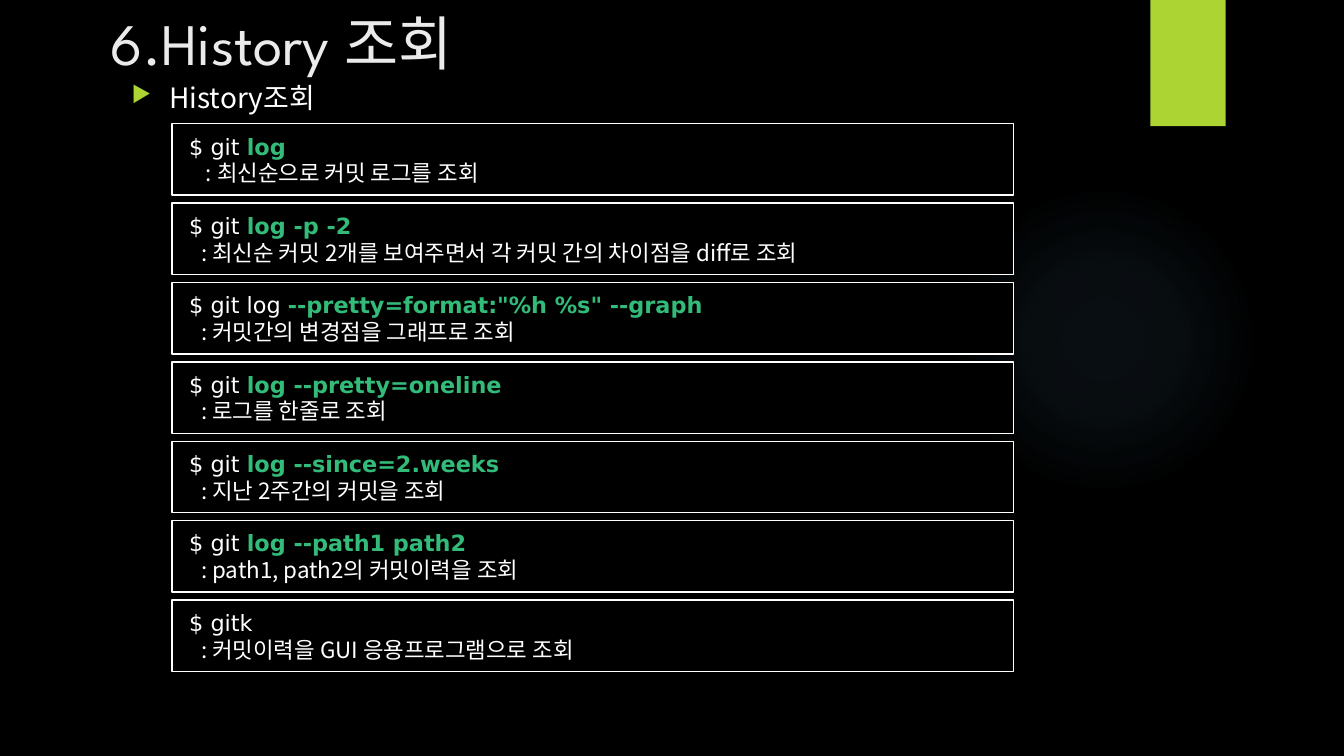
from lxml import etree
from pptx import Presentation
from pptx.dml.color import RGBColor
from pptx.enum.shapes import MSO_SHAPE
from pptx.enum.text import MSO_ANCHOR, MSO_AUTO_SIZE, PP_ALIGN
from pptx.oxml import parse_xml
from pptx.oxml.ns import nsdecls, qn
from pptx.util import Cm, Pt

# Content
TITLE = "6.History 조회"
HEADING = "History조회"
COMMANDS = [  # plain part, highlighted part, description
    ("$ git ", "log", ": 최신순으로 커밋 로그를 조회"),
    ("$ git ", "log -p -2", ": 최신순 커밋 2개를 보여주면서 각 커밋 간의 차이점을 diff로 조회"),
    ("$ git log ", '--pretty=format:"%h %s" --graph', ": 커밋간의 변경점을 그래프로 조회"),
    ("$ git ", "log --pretty=oneline", ": 로그를 한줄로 조회"),
    ("$ git ", "log --since=2.weeks", ": 지난 2주간의 커밋을 조회"),
    ("$ git ", "log --path1 path2", ": path1, path2의 커밋이력을 조회"),
    ("$ gitk", "", ": 커밋이력을 GUI 응용프로그램으로 조회"),
]

# Style
COLORS = {"back": "000000", "text": "FFFFFF", "title": "EBEBEB",
          "accent": "ACD433", "command": "32BB79", "glow": "7AC4F0"}
TITLE_FONT, CODE_FONT, KOREAN_FONT = "League Spartan", "DejaVu Sans", "Noto Sans CJK KR"
GLOW_STOPS = [(0, 7), (36, 6), (69, 0)]  # position %, opacity %

# Command boxes, in cm
BOX_LEFT, BOX_TOP, BOX_WIDTH, BOX_HEIGHT, BOX_PITCH = 4.34, 3.12, 21.21, 1.8, 2


def rgb(name):
    return RGBColor.from_string(COLORS[name])


def style(r, size, font, color, bold=False):
    r.font.size, r.font.name, r.font.bold = Pt(size), font, bold
    r.font.color.rgb = rgb(color)
    ea = etree.SubElement(r.font._element, qn("a:ea"))
    ea.set("typeface", KOREAN_FONT)


def add_run(p, text, *look):
    r = p.add_run()
    r.text = text
    style(r, *look)


def indent(p, left, first=0):
    pPr = p._p.get_or_add_pPr()
    pPr.set("marL", str(Cm(left)))
    pPr.set("indent", str(Cm(first)))
    return pPr


def add_plain(s, kind, *box):
    sp = s.shapes.add_shape(kind, *map(Cm, box))
    sp.shadow.inherit = False
    sp.line.fill.background()
    return sp


def add_glow(s):
    sp = add_plain(s, MSO_SHAPE.OVAL, 23.9, 4.65, 7.82, 7.82)
    sp.fill.gradient()
    stops = "".join(
        f'<a:gs pos="{pos * 1000}"><a:srgbClr val="{COLORS["glow"]}">'
        f'<a:alpha val="{alpha * 1000}"/></a:srgbClr></a:gs>'
        for pos, alpha in GLOW_STOPS)
    grad = parse_xml(
        f'<a:gradFill {nsdecls("a")} rotWithShape="1"><a:gsLst>{stops}</a:gsLst>'
        '<a:path path="circle"><a:fillToRect l="50000" t="50000" r="50000" b="50000"/>'
        '</a:path></a:gradFill>')
    spPr = sp._element.spPr
    spPr.replace(spPr.find(qn("a:gradFill")), grad)


def add_command(s, top, plain, command, description, description_indent):
    sp = add_plain(s, MSO_SHAPE.RECTANGLE, BOX_LEFT, top, BOX_WIDTH, BOX_HEIGHT)
    sp.fill.solid()
    sp.fill.fore_color.rgb = rgb("back")
    sp.line.color.rgb = rgb("text")
    sp.line.width = Pt(1)
    tf = sp.text_frame
    tf.vertical_anchor = MSO_ANCHOR.MIDDLE
    p = tf.paragraphs[0]
    p.alignment = PP_ALIGN.LEFT
    indent(p, 0.18)
    add_run(p, plain, 16, CODE_FONT, "text")
    if command:
        add_run(p, command, 16, CODE_FONT, "command", True)
    p = tf.add_paragraph()
    p.alignment = PP_ALIGN.LEFT
    indent(p, description_indent)
    add_run(p, description, 16, KOREAN_FONT, "text")


def main():
    prs = Presentation()
    prs.slide_width, prs.slide_height = Cm(33.87), Cm(19.05)
    s = prs.slides.add_slide(prs.slide_layouts[5])
    s.background.fill.solid()
    s.background.fill.fore_color.rgb = rgb("back")

    # Decoration
    add_glow(s)
    tab = add_plain(s, MSO_SHAPE.RECTANGLE, 28.99, 0, 1.9, 3.18)
    tab.fill.solid()
    tab.fill.fore_color.rgb = rgb("accent")

    # Title
    title = s.shapes.title
    title.left, title.top, title.width, title.height = map(Cm, (2.54, 0.05, 25.37, 1.83))
    tf = title.text_frame
    tf.text = TITLE
    tf.vertical_anchor = MSO_ANCHOR.TOP
    tf.auto_size = MSO_AUTO_SIZE.NONE
    tf.paragraphs[0].alignment = PP_ALIGN.LEFT
    style(tf.paragraphs[0].runs[0], 42, TITLE_FONT, "title")

    # Bulleted heading
    tf = s.shapes.add_textbox(*map(Cm, (3.07, 1.9, 24.84, 1.2))).text_frame
    tf.word_wrap = True
    tf.text = HEADING
    p = tf.paragraphs[0]
    style(p.runs[0], 20, KOREAN_FONT, "text")
    pPr = indent(p, 0.95, -0.95)
    color = etree.SubElement(pPr, qn("a:buClr"))
    etree.SubElement(color, qn("a:srgbClr")).set("val", COLORS["accent"])
    etree.SubElement(pPr, qn("a:buSzPct")).set("val", "80000")
    etree.SubElement(pPr, qn("a:buChar")).set("char", "▶")

    # Command boxes; the first description sits slightly further in
    for i, (plain, command, description) in enumerate(COMMANDS):
        add_command(s, BOX_TOP + i * BOX_PITCH, plain, command, description,
                    0.6 if i == 0 else 0.48)

    prs.save("out.pptx")


if __name__ == "__main__":
    main()
